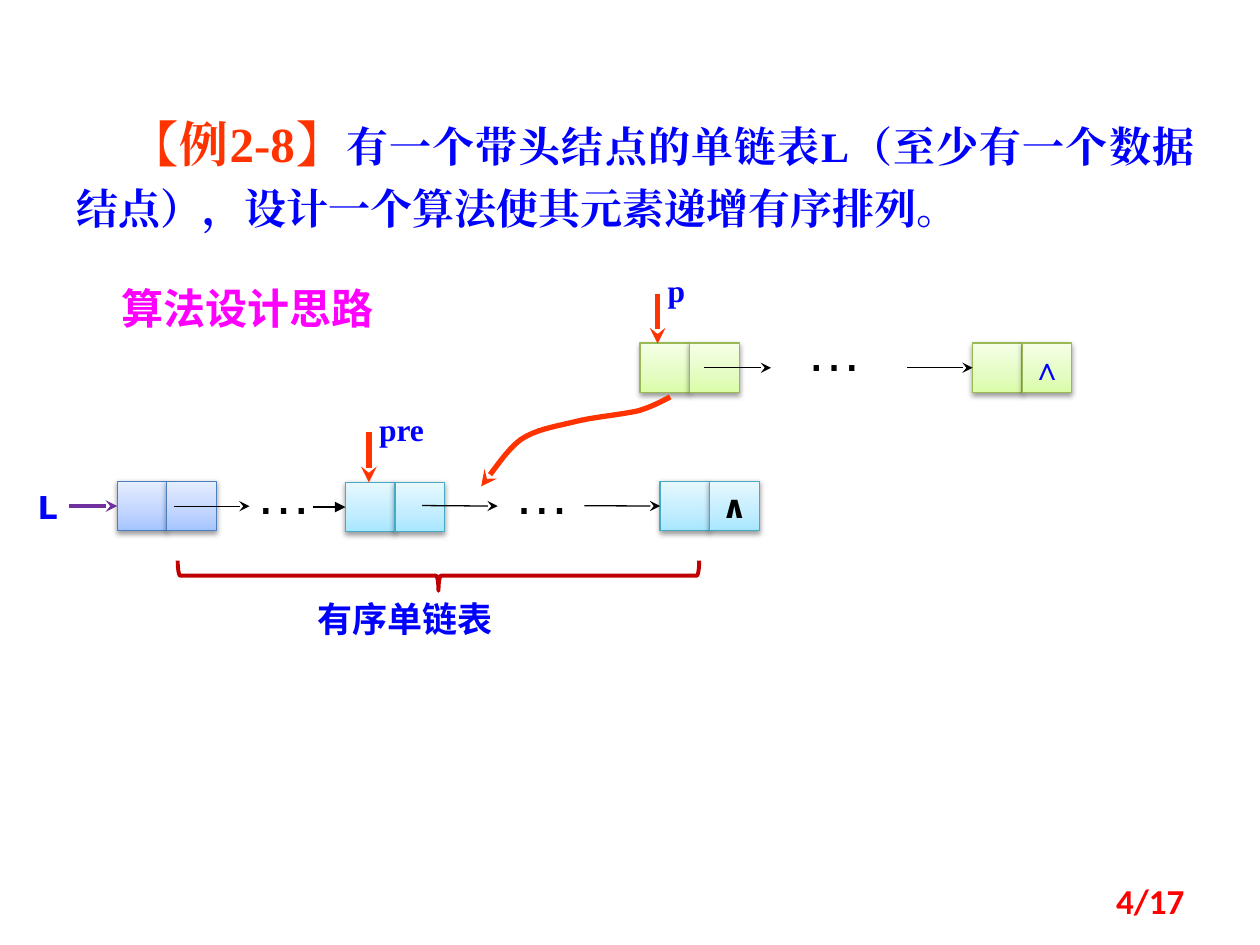
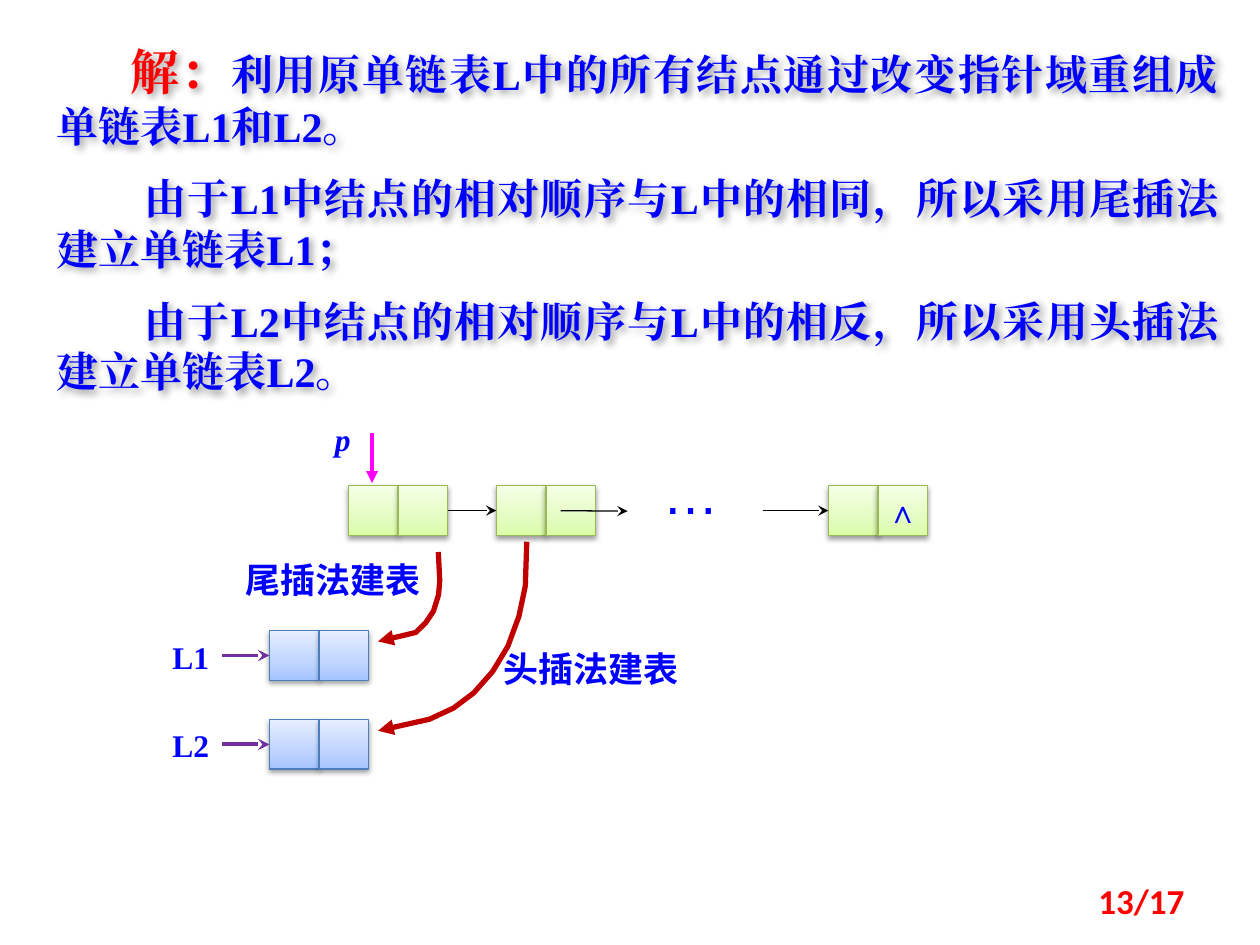
"""Builds two slides about rearranging the nodes of singly linked lists."""
from lxml.etree import SubElement
from pptx import Presentation
from pptx.dml.color import RGBColor
from pptx.enum.shapes import MSO_CONNECTOR as LINK, MSO_SHAPE as SHAPE
from pptx.enum.text import MSO_ANCHOR as ANCHOR, MSO_AUTO_SIZE as FIT, PP_ALIGN as ALIGN
from pptx.oxml.ns import qn
from pptx.util import Pt

SERIF, SANS = "Times New Roman", "Noto Sans CJK SC"
BLUE, ORANGE, RED, CRIMSON = "0000FF", "FF3300", "FF0000", "C00000"
MAGENTA, PURPLE, BLACK = "FF00FF", "7030A0", "000000"
CELL = 28.35
MIDDLE = CELL / 2

NODE_COLOURS = {
    "head": ("4B7EBC", ("A4C4FF", "BFD4FF", "E6EEFF")),
    "sorted": ("46AAC5", ("A7E6FF", "C1EDFF", "E7F8FF")),
    "rest": ("98B955", ("DAFDA7", "E4FCC2", "F5FFE7")),
}
TEXT_STYLES = {
    "pointer": (SERIF, 18, BLUE, True, False),
    "italic pointer": (SERIF, 18, BLUE, True, True),
    "list": ("DejaVu Sans", 18, BLUE, True, False),
    "end": ("DejaVu Sans", 18, BLACK, True, False),
    "dots": ("Arial", 32, BLACK, False, False),
    "blue dots": ("Arial", 32, BLUE, False, False),
    "caption": (SANS, 20, BLUE, True, False),
    "heading": (SANS, 24, MAGENTA, True, False),
    "prose": (SERIF, 24, BLUE, True, False),
    "example": (SERIF, 28, ORANGE, True, False),
    "solution": (SERIF, 28, RED, True, False),
    "page": ("Calibri", 20, RED, True, False),
}
LINE_STYLES = {
    "next": (BLACK, 0.75, "stealth"),
    "short next": (BLACK, 0.75, "triangle"),
    "list": (PURPLE, 2.25, "stealth"),
    "pointer": (ORANGE, 3, "stealth"),
    "thin pointer": (MAGENTA, 2.25, "triangle"),
    "move": (ORANGE, 3, "stealth"),
    "insert": (CRIMSON, 3, "triangle"),
}

SORT_SLIDE = {
    "page": "4/17",
    "title": ("算法设计思路", (62, 157.7, 221, 36)),
    "prose_area": (36.7, 54.7, 653, 83),
    "line_spacing": 1.2,
    "prose_shadow": False,
    "prose": [(30, [("【例2-8】", "example"),
                    ("有一个带头结点的单链表L（至少有一个数据结点），"
                     "设计一个算法使其元素递增有序排列。", "prose")])],
    "nodes": {
        "L": (67, 275, "head", None),
        "last sorted": (377.2, 275, "sorted", ("∧", "end")),
        "p": (365.8, 196, "rest", None),
        "last rest": (555.8, 196, "rest", ("∧", "pointer")),
        "pre": (197.4, 275.6, "sorted", None),
    },
    "arrows": [
        ((39.6, 275 + MIDDLE), "L", "list"),
        ((518.4, 196 + MIDDLE), "last rest", "next"),
        ((334, 289), "last sorted", "next"),
        ((402.5, 210.2), (440.6, 210.2), "next"),
        ((99.2, 289.3), (142.6, 289.3), "next"),
        ((241.2, 288.9), (284.4, 289.2), "next"),
        ((178.6, 275.6 + MIDDLE), "pre", "short next"),
        ((375.8, 167.8), (375.8, 196.3), "pointer"),
        ((210.8, 247), (210.8, 275.6), "pointer"),
    ],
    "bends": [((383, 226.8), [
        ((383, 226.8), (374.4, 231.8), (365, 234.7)),
        ((355.7, 236.9), (338.4, 238.3), (327.6, 241.2)),
        ((316, 244), (306, 245.5), (297.4, 251.3)),
        ((288.7, 257.8), (280, 272.2), (275, 277.9)),
    ], "move")],
    "paths": [],
    "braces": [(241.9, 180, 17.3, 298)],
    "labels": [
        ("L", (14.4, 275, 44, 29), "list"),
        ("p", (374.4, 151.2, 28, 29), "pointer"),
        ("pre", (209.5, 230.4, 46, 29), "pointer"),
        ("…", (453.6, 177, 57, 45.4), "dots"),
        ("…", (286.6, 258.5, 57, 45.4), "dots"),
        ("…", (139, 258.5, 57, 45.4), "dots"),
        ("有序单链表", (174.2, 337.7, 146, 31.7), "caption"),
    ],
}
SPLIT_SLIDE = {
    "page": "13/17",
    "title": None,
    "prose_area": (25.2, 20.2, 678.2, 216),
    "line_spacing": 1,
    "prose_shadow": True,
    "prose": [
        (42, [("解：", "solution"),
              ("利用原单链表L中的所有结点通过改变指针域重组成单链表L1和L2。", "prose")]),
        (50, [("由于L1中结点的相对顺序与L中的相同，所以采用尾插法建立单链表L1；", "prose")]),
        (50, [("由于L2中结点的相对顺序与L中的相反，所以采用头插法建立单链表L2。", "prose")]),
    ],
    "nodes": {
        "L1": (154, 360.4, "head", None),
        "p": (199.2, 277.6, "rest", None),
        "second": (283.6, 277.6, "rest", None),
        "last": (473.4, 277.6, "rest", ("∧", "pointer")),
        "L2": (154, 411.2, "head", None),
    },
    "arrows": [
        ((126.6, 360.4 + MIDDLE), "L1", "list"),
        ((126.6, 411.2 + MIDDLE), "L2", "list"),
        ("p", "second", "next"),
        ((436.3, 277.6 + MIDDLE), "last", "next"),
        ((320.4, 291.8), (358.6, 292.1), "next"),
        ((212.6, 247.6), (212.6, 276), "thin pointer"),
    ],
    "bends": [],
    "paths": [
        ([(301, 309.6), (300.2, 334.8), (296.6, 352), (290.2, 369.4), (281.5, 383.8),
          (270.7, 396), (259.2, 404.6), (245.5, 411), (216, 417.6)], "insert"),
        ([(250.5, 315.4), (251.3, 332), (250.6, 340), (247.7, 349.2), (243.4, 355.7),
          (237.6, 361.4), (216, 366.5)], "insert"),
    ],
    "braces": [],
    "labels": [
        ("L1", (91.4, 360.7, 40, 29), "pointer"),
        ("L2", (91.4, 411.2, 40, 29), "pointer"),
        ("p", (184.3, 236.2, 28, 29), "italic pointer"),
        ("…", (371.5, 258.5, 57, 45.4), "blue dots"),
        ("头插法建表", (280.8, 366.5, 147.6, 31), "caption"),
        ("尾插法建表", (133.2, 315.4, 147.6, 31), "caption"),
    ],
}


def rgb(colour):
    """Turn a hex string into a colour."""
    return RGBColor.from_string(colour)


def add_xml(parent, tag, **attributes):
    """Append a DrawingML element."""
    return SubElement(parent, qn(f"a:{tag}"), attributes)


def set_font(font, style):
    """Apply a named text style to a paragraph's or run's font."""
    font.name, size, colour, font.bold, font.italic = TEXT_STYLES[style]
    font.size = Pt(size)
    font.color.rgb = rgb(colour)
    add_xml(font._rPr, "ea", typeface=font.name)


def add_shadow(shape, alpha, blur, distance, angle):
    """Give a shape a soft black shadow."""
    shape.shadow.inherit = False
    outer = add_xml(shape._element.spPr.find(qn("a:effectLst")), "outerShdw",
                    blurRad=str(Pt(blur)), dist=str(Pt(distance)),
                    dir=str(angle * 60000), rotWithShape="0")
    add_xml(add_xml(outer, "srgbClr", val=BLACK), "alpha", val=str(alpha * 1000))


def set_area(shape, area):
    """Move and size a shape."""
    shape.left, shape.top, shape.width, shape.height = map(Pt, area)


def write(shape, text, style, align=ALIGN.LEFT):
    """Write one vertically centred line of text."""
    frame = shape.text_frame
    frame.vertical_anchor = ANCHOR.MIDDLE
    frame.word_wrap = True
    paragraph = frame.paragraphs[0]
    paragraph.text, paragraph.alignment = text, align
    set_font(paragraph.font, style)


def add_label(slide, text, area, style, align=ALIGN.LEFT):
    """Add a text box with one line."""
    write(slide.shapes.add_textbox(*map(Pt, area)), text, style, align)


def add_prose(slide, content):
    """Fill the body placeholder with indented, justified paragraphs."""
    body = slide.placeholders[1]
    set_area(body, content["prose_area"])
    frame = body.text_frame
    frame.auto_size = FIT.NONE
    for number, (indent, runs) in enumerate(content["prose"]):
        paragraph = frame.add_paragraph() if number else frame.paragraphs[0]
        properties = paragraph._p.get_or_add_pPr()
        properties.set("marL", "0")
        properties.set("indent", str(Pt(indent)))
        add_xml(properties, "buNone")
        paragraph.alignment = ALIGN.JUSTIFY
        paragraph.line_spacing = content["line_spacing"]
        paragraph.space_before = Pt(12.5 if number else 0)
        for text, style in runs:
            run = paragraph.add_run()
            run.text = text
            set_font(run.font if len(runs) > 1 else paragraph.font, style)
    if content["prose_shadow"]:
        add_shadow(body, 40, 4, 3, 45)


def add_node(slide, x, y, kind, mark):
    """Draw the data and pointer cells of a list node and return them."""
    outline, stops = NODE_COLOURS[kind]
    cells = []
    for column in range(2):
        cell = slide.shapes.add_shape(SHAPE.RECTANGLE, Pt(x + column * CELL), Pt(y),
                                      Pt(CELL), Pt(CELL))
        cell.fill.gradient()
        cell.fill.gradient_angle = 90
        stop_list = cell._element.spPr.find(qn("a:gradFill")).find(qn("a:gsLst"))
        stop_list.clear()
        for position, colour in zip((0, 35, 100), stops):
            add_xml(add_xml(stop_list, "gs", pos=str(position * 1000)), "srgbClr", val=colour)
        cell.line.color.rgb = rgb(outline)
        cell.line.width = Pt(0.75)
        add_shadow(cell, 38, 3.1, 1.6, 90)
        cells.append(cell)
    if mark:
        write(cells[1], *mark, ALIGN.CENTER)
        cells[1].text_frame.word_wrap = False
    return cells


def style_line(shape, style):
    """Colour a line and put an arrowhead at its end."""
    colour, width, arrowhead = LINE_STYLES[style]
    shape.line.color.rgb = rgb(colour)
    shape.line.width = Pt(width)
    add_xml(shape.line._get_or_add_ln(), "tailEnd", type=arrowhead)


def add_arrow(slide, nodes, start, end, style):
    """Draw a straight arrow between points or named nodes."""
    ends = [(0, 0) if point in nodes else point for point in (start, end)]
    arrow = slide.shapes.add_connector(LINK.STRAIGHT, *(Pt(v) for point in ends for v in point))
    if start in nodes:
        arrow.begin_connect(nodes[start][1], 3)
    if end in nodes:
        arrow.end_connect(nodes[end][0], 1)
    style_line(arrow, style)
    add_xml(arrow._element.spPr, "effectLst")


def add_path(slide, points, style):
    """Draw an open outline with an arrowhead."""
    first, *others = [tuple(map(Pt, point)) for point in points]
    builder = slide.shapes.build_freeform(*first)
    builder.add_line_segments(others, close=False)
    path = builder.convert_to_shape()
    path.fill.background()
    path.shadow.inherit = False
    style_line(path, style)


def trace_bend(start, curves, steps=8):
    """Return points along a chain of cubic curves."""
    points = [start]
    for curve in curves:
        corners = (points[-1], *curve)
        for step in range(1, steps + 1):
            t = step / steps
            weights = ((1 - t) ** 3, 3 * t * (1 - t) ** 2, 3 * t * t * (1 - t), t ** 3)
            points.append(tuple(sum(w * c[axis] for w, c in zip(weights, corners))
                                for axis in range(2)))
    return points


def add_brace(slide, area):
    """Draw a brace that opens upwards."""
    brace = slide.shapes.add_shape(SHAPE.RIGHT_BRACE, *map(Pt, area))
    brace.rotation = 90
    brace.fill.background()
    brace.line.color.rgb = rgb(CRIMSON)
    brace.line.width = Pt(2.25)
    brace.shadow.inherit = False


def add_slide(deck, content):
    """Build one slide from its content."""
    slide = deck.slides.add_slide(deck.slide_layouts[1])
    title = slide.shapes.title
    if content["title"]:
        text, area = content["title"]
        set_area(title, area)
        title.text_frame.auto_size = FIT.NONE
        write(title, text, "heading")
    else:
        title._element.getparent().remove(title._element)
    add_prose(slide, content)
    nodes = {name: add_node(slide, *node) for name, node in content["nodes"].items()}
    for arrow in content["arrows"]:
        add_arrow(slide, nodes, *arrow)
    for start, curves, style in content["bends"]:
        add_path(slide, trace_bend(start, curves), style)
    for path in content["paths"]:
        add_path(slide, *path)
    for area in content["braces"]:
        add_brace(slide, area)
    for text, area, style in content["labels"]:
        add_label(slide, text, area, style)
    add_label(slide, content["page"], (516.2, 500.4, 167.8, 28.8), "page", ALIGN.RIGHT)


def main():
    """Build and save the deck."""
    deck = Presentation()
    deck.slide_width, deck.slide_height = Pt(720), Pt(540)
    for content in (SORT_SLIDE, SPLIT_SLIDE):
        add_slide(deck, content)
    deck.save("out.pptx")


if __name__ == "__main__":
    main()
